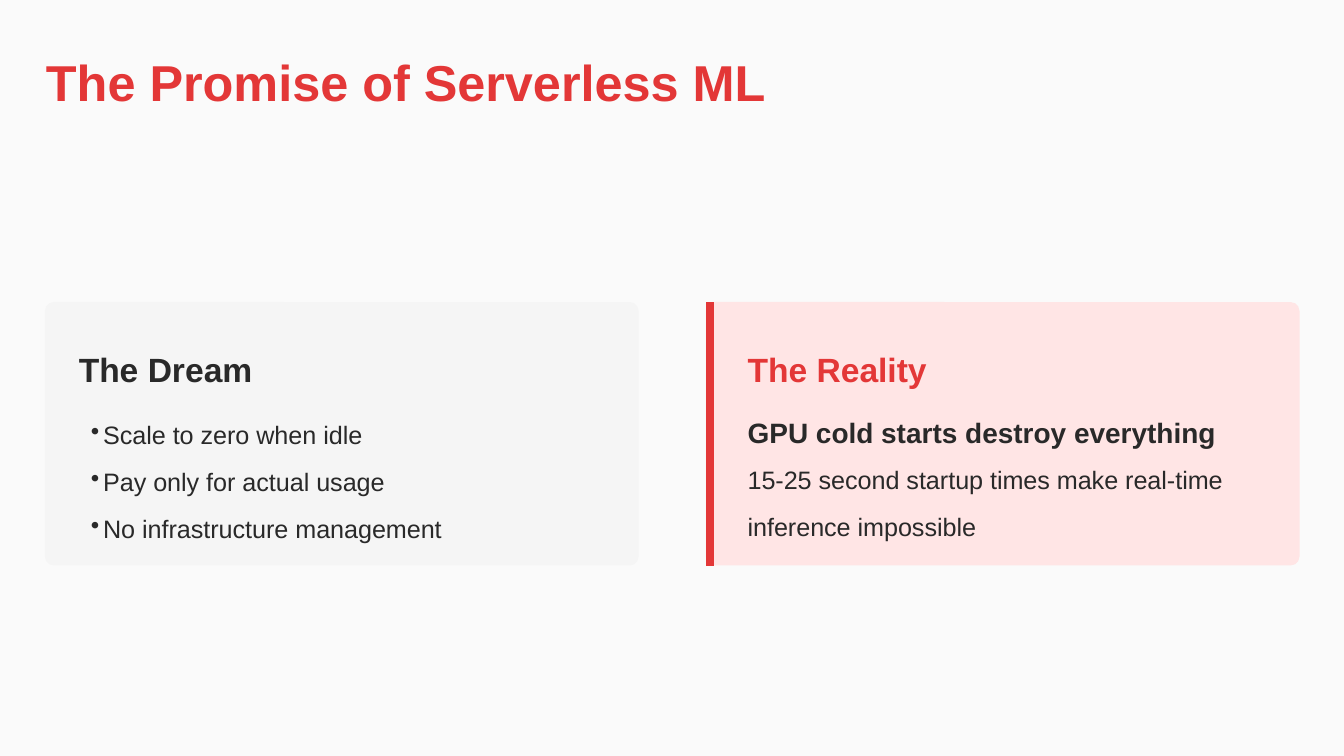
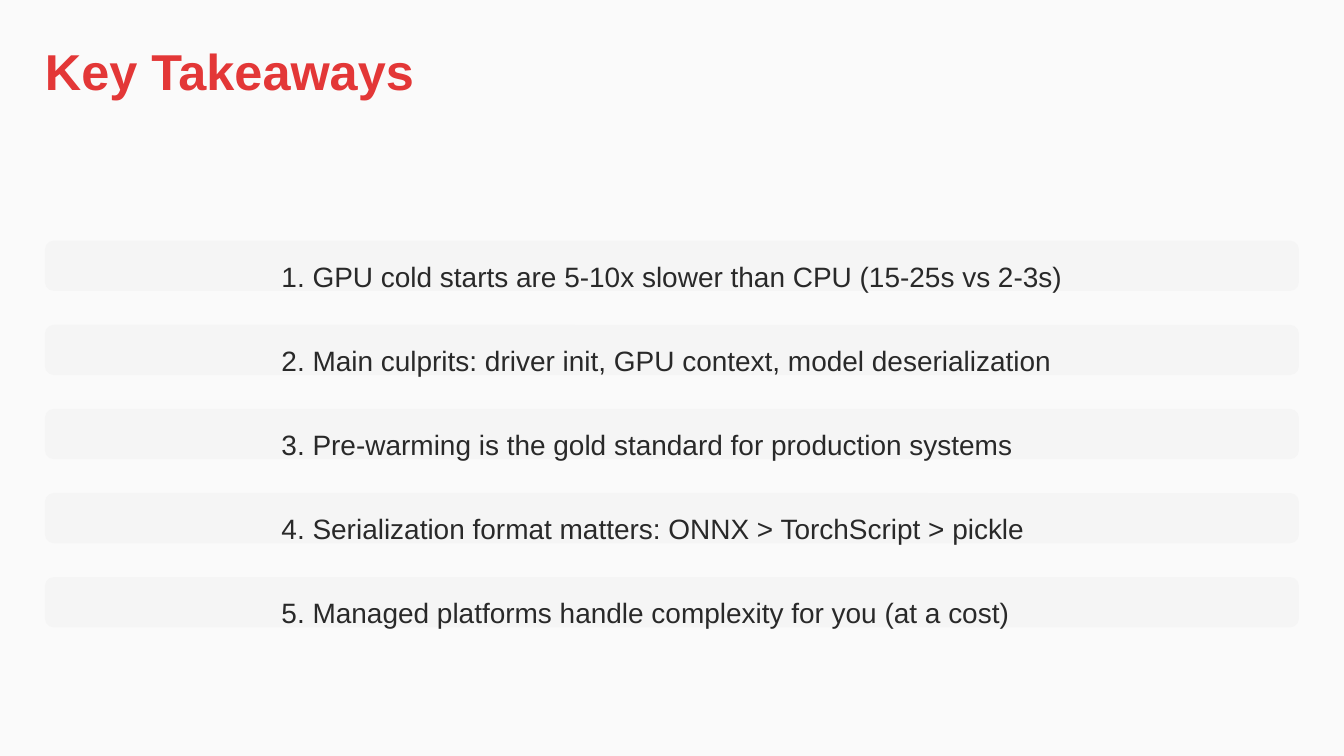
from lxml.etree import SubElement
from pptx import Presentation
from pptx.dml.color import RGBColor as Color
from pptx.enum.shapes import MSO_CONNECTOR as Connector, MSO_SHAPE as Shape
from pptx.enum.text import MSO_ANCHOR as Anchor
from pptx.oxml.ns import qn
from pptx.util import Cm, Pt

COLOURS = {
    "background": "FAFAFA",
    "panel": "F5F5F5",
    "warning": "FFE5E5",
    "accent": "E33737",
    "ink": "292929",
}
FONT = "Arial"
MARGIN = 0.85
RADIUS = 0.17
CARD_WIDTH, CARD_HEIGHT = 11.22, 4.98
BULLET_INDENT = 0.23

DREAMS = [
    "Scale to zero when idle",
    "Pay only for actual usage",
    "No infrastructure management",
]
TAKEAWAYS = [
    "GPU cold starts are 5-10x slower than CPU (15-25s vs 2-3s)",
    "Main culprits: driver init, GPU context, model deserialization",
    "Pre-warming is the gold standard for production systems",
    "Serialization format matters: ONNX > TorchScript > pickle",
    "Managed platforms handle complexity for you (at a cost)",
]


def colour(name):
    return Color.from_string(COLOURS[name])


def add_bullet(paragraph):
    properties = paragraph._p.get_or_add_pPr()
    properties.set("marL", str(Cm(BULLET_INDENT)))
    properties.set("indent", str(-Cm(BULLET_INDENT)))
    bullet_colour = SubElement(properties, qn("a:buClr"))
    SubElement(bullet_colour, qn("a:srgbClr")).set("val", COLOURS["ink"])
    SubElement(properties, qn("a:buChar")).set("char", "•")


def add_text(slide, text, box, size=13.5, ink="ink", bold=False, spacing=1.56,
             inset=0, anchor=Anchor.TOP, bullets=False):
    """Write each line of the text as one paragraph."""
    frame = slide.shapes.add_textbox(*map(Cm, box)).text_frame
    frame.word_wrap = True
    frame.vertical_anchor = anchor
    frame.margin_left = Cm(inset)
    frame.margin_top = frame.margin_right = frame.margin_bottom = 0
    frame.text = text
    for paragraph in frame.paragraphs:
        paragraph.line_spacing = spacing
        if bullets:
            add_bullet(paragraph)
        font = paragraph.font
        font.name, font.size, font.bold = FONT, Pt(size), bold
        font.color.rgb = colour(ink)


def add_panel(slide, box, fill="panel"):
    shape = slide.shapes.add_shape(Shape.ROUNDED_RECTANGLE, *map(Cm, box))
    shape.adjustments[0] = RADIUS / box[3]
    shape.shadow.inherit = False
    shape.fill.solid()
    shape.fill.fore_color.rgb = colour(fill)
    shape.line.fill.background()


def add_accent_bar(slide, x, top, height):
    bar = slide.shapes.add_connector(
        Connector.STRAIGHT, Cm(x), Cm(top), Cm(x), Cm(top + height))
    bar.line.color.rgb = colour("accent")
    bar.line.width = Pt(4.5)
    SubElement(bar._element.spPr, qn("a:effectLst"))


def add_slide(presentation, title, title_box, **title_format):
    slide = presentation.slides.add_slide(presentation.slide_layouts[6])
    slide.background.fill.solid()
    slide.background.fill.fore_color.rgb = colour("background")
    add_text(slide, title, title_box, size=27, ink="accent", bold=True,
             spacing=1.11, **title_format)
    return slide


def add_card_heading(slide, text, left, top, width, ink):
    add_text(slide, text, (left, top + 0.64, width, 0.85), size=18, ink=ink,
             bold=True, spacing=1.33)


def add_dream_card(slide, box):
    left, top, width, height = box
    add_panel(slide, box)
    text_left, text_width = left + 0.64, width - 1.06
    add_card_heading(slide, "The Dream", text_left, top, text_width, "ink")
    add_text(slide, "\n".join(DREAMS), (text_left, top + 1.9, text_width, 2.44),
             inset=BULLET_INDENT, bullets=True)


def add_reality_card(slide, box):
    left, top, width, height = box
    add_panel(slide, box, "warning")
    add_accent_bar(slide, left + 0.08, top, height)
    text_left, text_width = left + 0.79, width - 1.24
    add_card_heading(slide, "The Reality", text_left, top, text_width, "accent")
    add_text(slide, "GPU cold starts destroy everything",
             (text_left, top + 1.9, text_width, 0.74), size=15, bold=True,
             spacing=1.4)
    add_text(slide,
             "15-25 second startup times make real-time inference impossible",
             (text_left, top + 2.74, text_width, 1.47))


def add_takeaway(slide, text, box):
    left, top, width, height = box
    add_panel(slide, box)
    add_text(slide, text, (left - 0.23, top + 0.1, width + 0.46, 0.74),
             size=15, spacing=1.4, inset=4.7)


def build_promise_slide(presentation):
    slide = add_slide(presentation, "The Promise of Serverless ML",
                      (0.87, 0.74, 19.3, 1.47), anchor=Anchor.MIDDLE)
    top = 5.71
    add_dream_card(slide, (MARGIN, top, CARD_WIDTH, CARD_HEIGHT))
    add_reality_card(slide, (13.34, top, CARD_WIDTH, CARD_HEIGHT))


def build_takeaways_slide(presentation):
    slide = add_slide(presentation, "Key Takeaways", (MARGIN, 0.64, 12.12, 1.07))
    first_top, step = 4.55, 1.59
    for index, takeaway in enumerate(TAKEAWAYS):
        add_takeaway(slide, f"{index + 1}. {takeaway}",
                     (MARGIN, first_top + index * step, 23.7, 0.95))


def main():
    presentation = Presentation()
    presentation.slide_width, presentation.slide_height = Cm(25.4), Cm(14.29)
    build_promise_slide(presentation)
    build_takeaways_slide(presentation)
    presentation.save("out.pptx")


if __name__ == "__main__":
    main()
